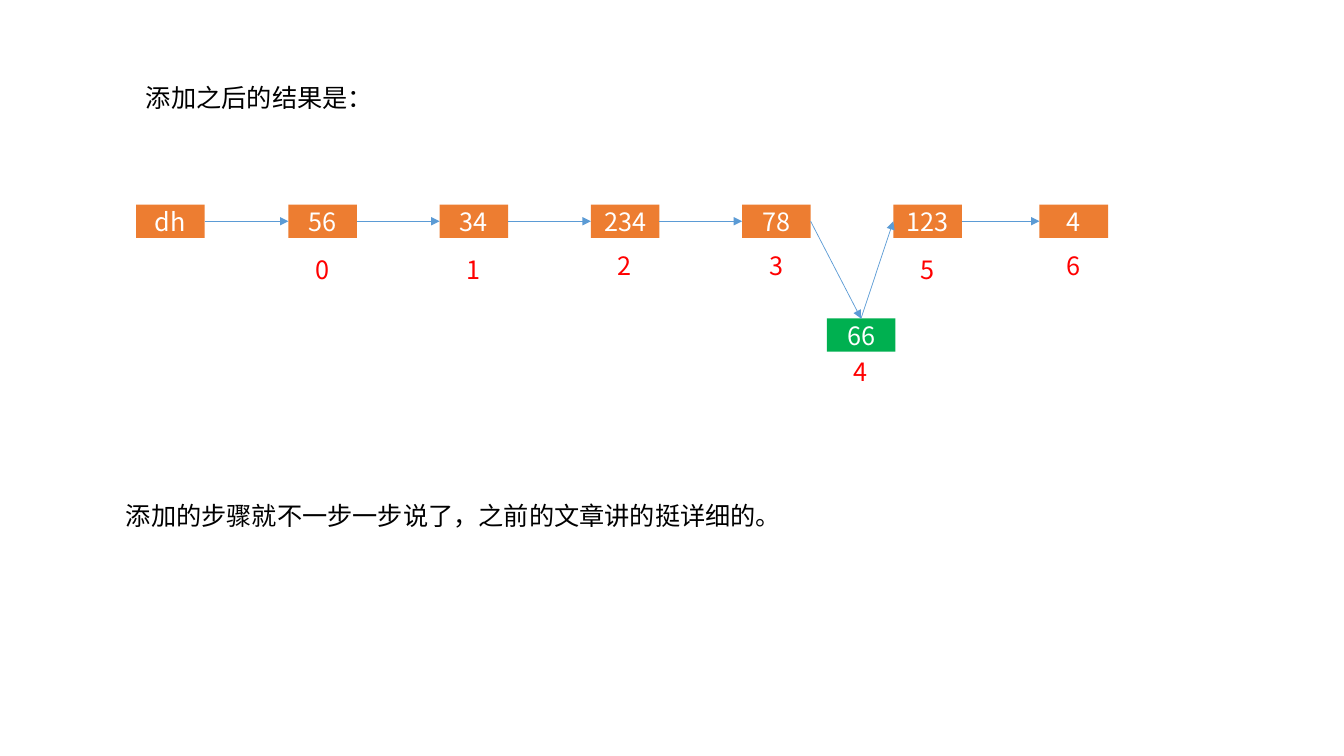
import pptx
import pptx.util
import pptx.dml.color
import pptx.enum.shapes
import pptx.enum.text
import pptx.oxml.ns
from lxml import etree

FONT = "Noto Sans CJK SC"
ORANGE, GREEN, BLUE = "ED7D31", "00B050", "5B9BD5"
BLACK, WHITE, RED = "000000", "FFFFFF", "FF0000"

# Content: sentences are (text, left, top, width)
SENTENCES = [
    ("添加之后的结果是：", 135, 77, 247),
    ("添加的步骤就不一步一步说了，之前的文章讲的挺详细的。", 115, 491, 677),
]
# List nodes in link order: (value, left, top, fill, index, index top)
NODES = [
    ("dh", 135, 203, ORANGE, None, None),
    ("56", 286, 203, ORANGE, "0", 247),
    ("34", 436, 203, ORANGE, "1", 247),
    ("234", 586, 203, ORANGE, "2", 243),
    ("78", 736, 203, ORANGE, "3", 243),
    ("66", 820, 316, GREEN, "4", 349),
    ("123", 886, 203, ORANGE, "5", 247),
    ("4", 1031, 203, ORANGE, "6", 243),
]
NODE_W, NODE_H = 68, 33
LABEL_W, LABEL_H = 34, 40
TOP, LEFT, RIGHT = 0, 1, 3  # connection sites of a rectangle


def px(n):
    return pptx.util.Emu(n * 9144)


def color(value):
    return pptx.dml.color.RGBColor.from_string(value)


def write(s, text, hue):
    tf = s.text_frame
    tf.text = text
    r = tf.paragraphs[0].runs[0]
    r.font.size = pptx.util.Pt(18)
    r.font.name = FONT
    r.font.color.rgb = color(hue)
    ea = etree.SubElement(r.font._element, pptx.oxml.ns.qn("a:ea"))
    ea.set("typeface", FONT)
    return tf


def add_text(slide, text, left, top, width, hue):
    s = slide.shapes.add_textbox(px(left), px(top), px(width), px(LABEL_H))
    tf = write(s, text, hue)
    tf.word_wrap = False
    tf.auto_size = pptx.enum.text.MSO_AUTO_SIZE.SHAPE_TO_FIT_TEXT


def add_node(slide, text, left, top, fill):
    s = slide.shapes.add_shape(pptx.enum.shapes.MSO_SHAPE.RECTANGLE,
                               px(left), px(top), px(NODE_W), px(NODE_H))
    s.shadow.inherit = False
    s.fill.solid()
    s.fill.fore_color.rgb = color(fill)
    s.line.fill.background()
    tf = write(s, text, WHITE)
    tf.vertical_anchor = pptx.enum.text.MSO_ANCHOR.MIDDLE
    tf.paragraphs[0].alignment = pptx.enum.text.PP_ALIGN.CENTER
    return s


def add_arrow(slide, start, start_site, end, end_site):
    s = slide.shapes.add_connector(
        pptx.enum.shapes.MSO_CONNECTOR.STRAIGHT, 0, 0, 0, 0)
    s.begin_connect(start, start_site)
    s.end_connect(end, end_site)
    s.line.color.rgb = color(BLUE)
    s.line.width = pptx.util.Pt(0.5)
    tail = etree.SubElement(s.line._get_or_add_ln(),
                            pptx.oxml.ns.qn("a:tailEnd"))
    tail.set("type", "triangle")
    etree.SubElement(s._element.spPr, pptx.oxml.ns.qn("a:effectLst"))


def main():
    prs = pptx.Presentation()
    prs.slide_width, prs.slide_height = px(1333), px(750)
    slide = prs.slides.add_slide(prs.slide_layouts[6])

    for text, left, top, width in SENTENCES:
        add_text(slide, text, left, top, width, BLACK)

    # Nodes with their indexes centred below
    boxes = []
    for value, left, top, fill, index, index_top in NODES:
        boxes.append((add_node(slide, value, left, top, fill), fill))
        if index:
            label_left = left + (NODE_W - LABEL_W) // 2
            add_text(slide, index, label_left, index_top, LABEL_W, RED)

    # Links: the inserted green node is entered and left at its top
    for (start, start_fill), (end, end_fill) in zip(boxes, boxes[1:]):
        add_arrow(slide, start, TOP if start_fill == GREEN else RIGHT,
                  end, TOP if end_fill == GREEN else LEFT)

    prs.save("out.pptx")


if __name__ == "__main__":
    main()
